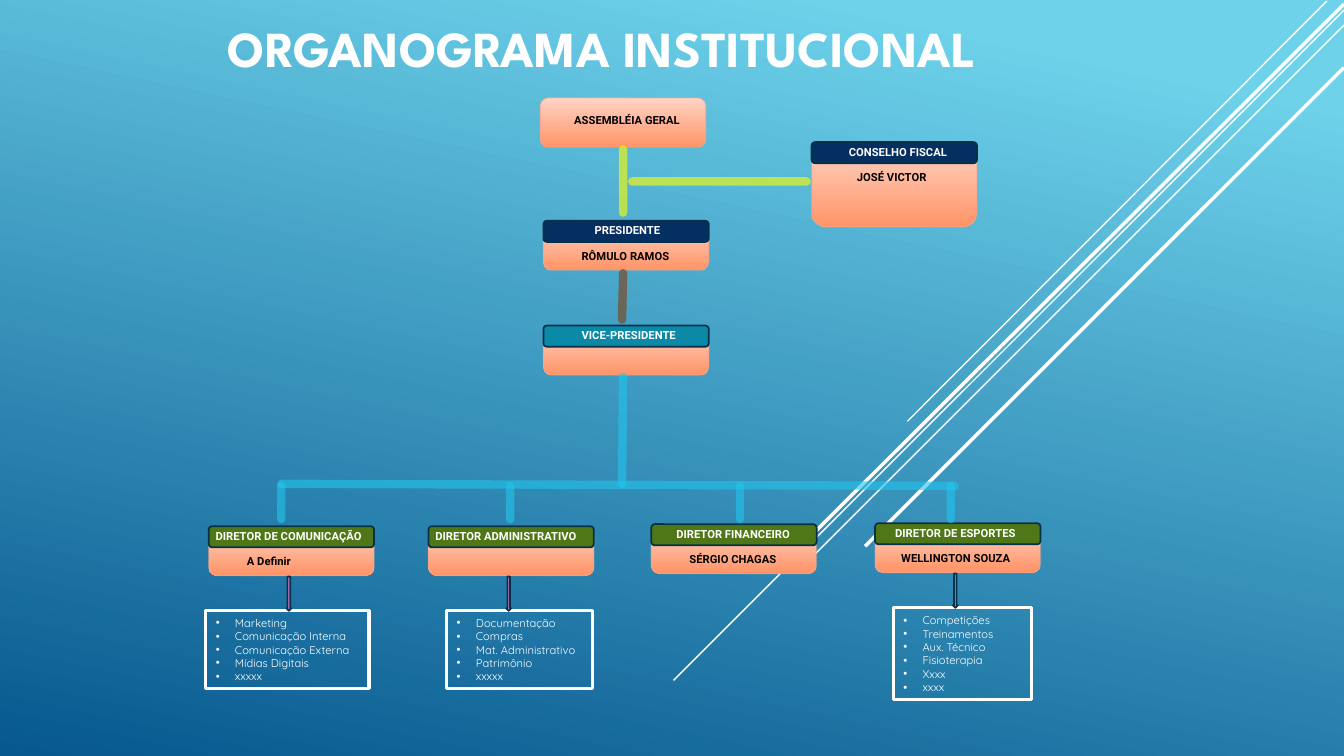
from dataclasses import dataclass

from lxml.etree import SubElement
from pptx import Presentation
from pptx.dml.color import RGBColor
from pptx.enum.shapes import MSO_CONNECTOR, MSO_SHAPE
from pptx.enum.text import MSO_ANCHOR, MSO_AUTO_SIZE, PP_ALIGN
from pptx.oxml.ns import qn
from pptx.util import Inches, Pt


@dataclass(frozen=True)
class Theme:
    sky: str = "6ED2EB"
    deep: str = "06588E"
    white: str = "FFFFFF"
    black: str = "000000"
    peach_light: str = "FFD4C6"
    peach: str = "FF9467"
    peach_edge: str = "EEA78F"
    navy: str = "052F61"
    teal: str = "0D89A8"
    green: str = "4F7717"
    edge: str = "043148"
    pink: str = "F585DB"
    yellow: str = "FFFF00"
    brown: str = "813C0F"
    cyan: str = "22C5ED"
    title_font: str = "League Spartan"
    label_font: str = "Roboto"
    list_font: str = "Quicksand"
    title_size: int = 36
    text_size: int = 8


@dataclass(frozen=True)
class Label:
    """Text with its left offset from the card and its width."""
    text: str
    dx: float
    width: float


@dataclass(frozen=True)
class Card:
    left: float
    top: float
    role: Label
    color: str
    person: Label | None = None
    height: float = 0.49


@dataclass(frozen=True)
class Director:
    card: Card
    list_left: float = 0
    list_width: float = 0
    duties: tuple = ()


THEME = Theme()
CARD_WIDTH, BAND_HEIGHT = 1.64, 0.21
ASSEMBLY = Label("ASSEMBLÉIA GERAL", 0.04, 1.64)

BOARD = [
    Card(5.39, 2.19, Label("PRESIDENTE", 0.41, 0.9), THEME.navy,
         Label("RÔMULO RAMOS", 0.28, 1.17)),
    Card(8.05, 1.41, Label("CONSELHO FISCAL", 0.27, 1.29), THEME.navy,
         Label("JOSÉ VICTOR", 0.35, 1.08), 0.84),
    Card(5.39, 3.23, Label("VICE-PRESIDENTE", 0.28, 1.17), THEME.teal),
]

DIRECTORS = [
    Director(Card(2.07, 5.22, Label("DIRETOR DE COMUNICAÇÃO", -0.03, 1.77), THEME.green,
                  Label("A Definir", 0.28, 1.17)), 2.04, 1.62,
             ("Marketing", "Comunicação Interna", "Comunicação Externa",
              "Mídias Digitais", "xxxxx")),
    Director(Card(4.25, 5.22, Label("DIRETOR ADMINISTRATIVO", -0.03, 1.74), THEME.green),
             4.43, 1.45,
             ("Documentação", "Compras", "Mat. Administrativo", "Patrimônio", "xxxxx")),
    Director(Card(6.46, 5.2, Label("DIRETOR FINANCEIRO", 0.15, 1.46), THEME.green,
                  Label("SÉRGIO CHAGAS", 0.28, 1.17))),
    Director(Card(8.68, 5.19, Label("DIRETOR DE ESPORTES", 0.1, 1.45), THEME.green,
                  Label("WELLINGTON SOUZA", 0.16, 1.36)), 8.86, 1.37,
             ("Competições", "Treinamentos", "Aux. Técnico", "Fisioterapia",
              "Xxxx", "xxxx")),
]

RAYS = [
    (13.16, 0.01, 9, 4.18, 1), (13.33, 0.1, 6.68, 6.75, 1), (13.33, 0.25, 7.91, 5.67, 1),
    (13.33, 0.04, 8.02, 5.34, 2.5), (13.33, 0.67, 8.58, 5.42, 2.5),
]
LINKS = [
    (6.18, 1.48, 6.18, 2.11, THEME.yellow), (6.27, 1.8, 8, 1.8, THEME.yellow),
    (6.18, 2.71, 6.17, 3.17, THEME.brown), (6.18, 3.74, 6.17, 4.8, THEME.cyan),
    (9.47, 4.82, 2.79, 4.8, THEME.cyan),
    *((x, 4.82, x, 5.15, THEME.cyan) for x in (2.79, 5.06, 7.34, 9.43)),
]


def rgb(color):
    return RGBColor.from_string(color)


def fill_gradient(fill, stops, angle):
    """Fill with (position, colour) stops; the angle runs clockwise."""
    fill.gradient()
    fill.gradient_angle = 360 - angle
    for stop, (position, color) in zip(fill.gradient_stops, stops):
        stop.position = position
        stop.color.rgb = rgb(color)


def set_line(shape, color, width, opacity=100):
    shape.line.color.rgb = rgb(color)
    shape.line.width = Pt(width)
    if opacity < 100:
        edge_color = shape.element.spPr.find(qn("a:ln")).find(".//" + qn("a:srgbClr"))
        SubElement(edge_color, qn("a:alpha"), val=str(opacity * 1000))


def set_font(paragraph, name, size, color, bold):
    font = paragraph.font
    font.name, font.size, font.bold = name, Pt(size), bold
    font.color.rgb = rgb(color)


def place(shape, left, top, width, height):
    shape.left, shape.top = Inches(left), Inches(top)
    shape.width, shape.height = Inches(width), Inches(height)


def add_box(slide, kind, left, top, width, height):
    box = slide.shapes.add_shape(kind, Inches(left), Inches(top),
                                 Inches(width), Inches(height))
    box.shadow.inherit = False
    return box


def add_link(slide, x1, y1, x2, y2, color, width, opacity=100):
    link = slide.shapes.add_connector(MSO_CONNECTOR.STRAIGHT, Inches(x1), Inches(y1),
                                      Inches(x2), Inches(y2))
    set_line(link, color, width, opacity)
    if opacity < 100:
        link.element.spPr.find(qn("a:ln")).set("cap", "rnd")
    SubElement(link.element.spPr, qn("a:effectLst"))


def add_label(slide, label, left, top, color, align=PP_ALIGN.LEFT):
    frame = slide.shapes.add_textbox(Inches(left + label.dx), Inches(top),
                                     Inches(label.width), Inches(0.24)).text_frame
    frame.word_wrap = True
    paragraph = frame.paragraphs[0]
    paragraph.text = label.text
    paragraph.alignment = align
    set_font(paragraph, THEME.label_font, THEME.text_size, color, True)


def add_panel(slide, left, top, height):
    panel = add_box(slide, MSO_SHAPE.ROUNDED_RECTANGLE, left, top, CARD_WIDTH, height)
    fill_gradient(panel.fill, ((0, THEME.peach_light), (1, THEME.peach)), 90)
    set_line(panel, THEME.peach_edge, 0.75, 60)


def add_card(slide, card):
    add_panel(slide, card.left, card.top, card.height)
    band = add_box(slide, MSO_SHAPE.ROUNDED_RECTANGLE, card.left, card.top,
                   CARD_WIDTH, BAND_HEIGHT)
    band.fill.solid()
    band.fill.fore_color.rgb = rgb(card.color)
    set_line(band, THEME.edge, 1.25)
    add_label(slide, card.role, card.left, card.top - 0.02, THEME.white)
    if card.person:
        add_label(slide, card.person, card.left, card.top + 0.23, THEME.black)


def fill_duties(slide, director, body):
    """Hang the bulleted list of duties and its arrow below the director's card."""
    card = director.card
    place(body, director.list_left, card.top + 0.84, director.list_width,
          0.07 + 0.14 * len(director.duties))
    set_line(body, THEME.white, 2.25)
    frame = body.text_frame
    frame.text = "\n".join(director.duties)
    frame.auto_size, frame.vertical_anchor = MSO_AUTO_SIZE.NONE, MSO_ANCHOR.MIDDLE
    for paragraph in frame.paragraphs:
        paragraph.space_before = Pt(0)
        properties = paragraph._p.get_or_add_pPr()
        properties.set("marL", str(Inches(0.19)))
        properties.set("indent", str(-Inches(0.19)))
        SubElement(properties, qn("a:buFont"), typeface="Arial")
        SubElement(properties, qn("a:buChar"), char="•")
        set_font(paragraph, THEME.list_font, THEME.text_size, THEME.white, False)
    arrow = add_box(slide, MSO_SHAPE.DOWN_ARROW, card.left + 0.77, card.top + 0.5, 0.05, 0.34)
    arrow.fill.solid()
    arrow.fill.fore_color.rgb = rgb(THEME.pink)
    set_line(arrow, THEME.edge, 1.25)


def fill_title(title):
    place(title, 2.16, 0.12, 8.57, 0.71)
    frame = title.text_frame
    frame.text = "ORGANOGRAMA INSTITUCIONAL"
    frame.auto_size, frame.vertical_anchor = MSO_AUTO_SIZE.NONE, MSO_ANCHOR.TOP
    frame.paragraphs[0].alignment = PP_ALIGN.LEFT
    set_font(frame.paragraphs[0], THEME.title_font, THEME.title_size, THEME.white, True)


def build_org_chart(slide):
    fill_gradient(slide.background.fill, ((0.1, THEME.sky), (1, THEME.deep)), 102)
    title, *bodies = slide.placeholders
    fill_title(title)
    for *ends, width in RAYS:
        add_link(slide, *ends, THEME.white, width)
    add_panel(slide, 5.36, 0.97, 0.49)
    add_label(slide, ASSEMBLY, 5.36, 1.08, THEME.black, PP_ALIGN.CENTER)
    for card in BOARD + [director.card for director in DIRECTORS]:
        add_card(slide, card)
    for link in LINKS:
        add_link(slide, *link, 6, 60)
    for director, body in zip(DIRECTORS, bodies):
        if director.duties:
            fill_duties(slide, director, body)
        else:
            body.element.getparent().remove(body.element)


def main():
    deck = Presentation()
    deck.slide_width, deck.slide_height = Inches(13.33), Inches(7.5)
    build_org_chart(deck.slides.add_slide(deck.slide_layouts.get_by_name("Comparison")))
    deck.save("out.pptx")


if __name__ == "__main__":
    main()
